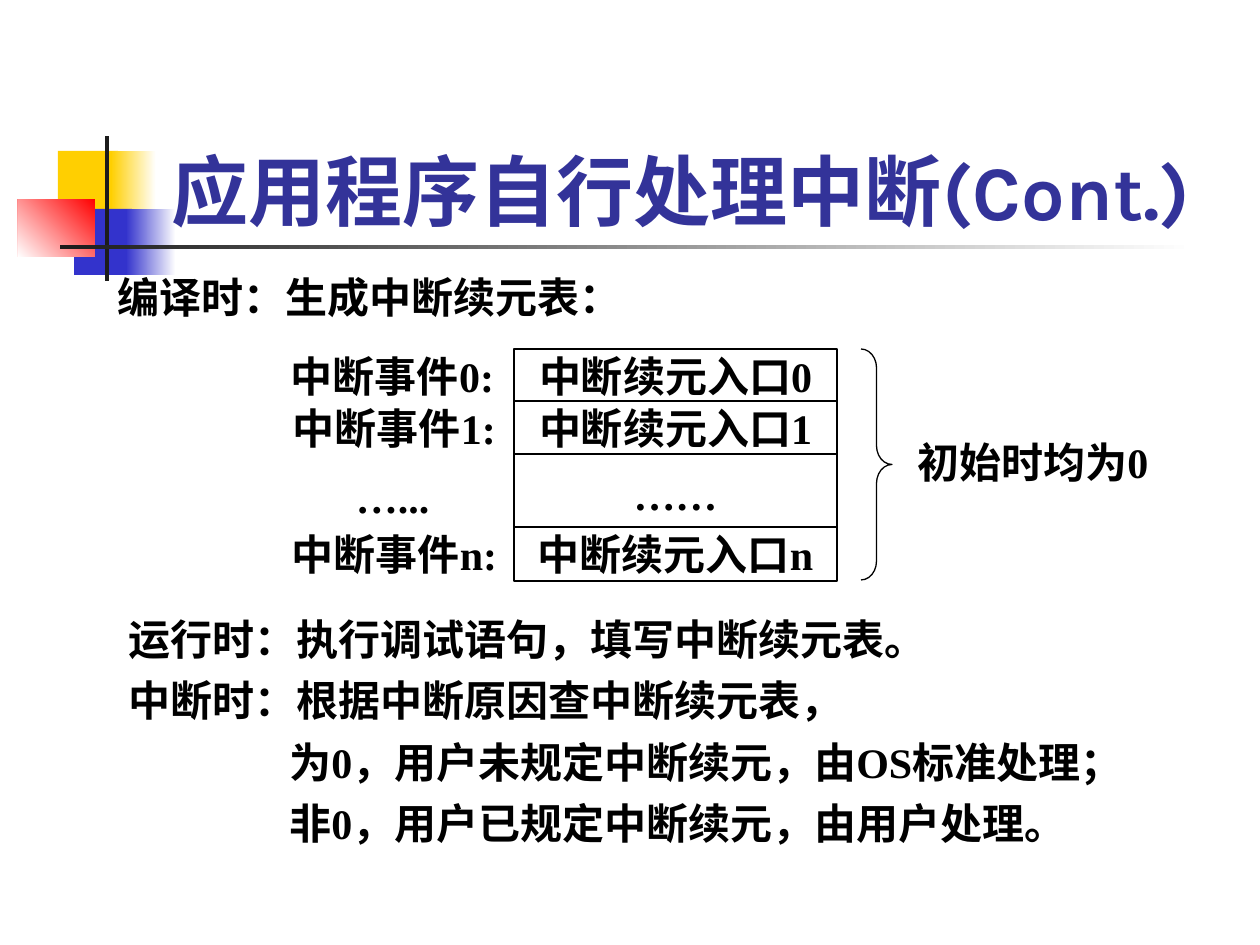
"""Build the slide on interrupt handling by application programs."""
from pptx import Presentation
from pptx.dml.color import RGBColor as Rgb
from pptx.enum.shapes import MSO_SHAPE as Kind
from pptx.enum.text import MSO_ANCHOR as Anchor, PP_ALIGN as Align
from pptx.util import Pt

PX = 914400 / 126
HEX = {"white": "FFFFFF", "black": "000000", "dark": "1C1C1C", "gold": "FFCF01",
       "blue": "3333CC", "red": "FF0000", "title": "333399"}
TITLE = "应用程序自行处理中断(Cont.)"
INTRO = "编译时：生成中断续元表："
NOTE = "初始时均为0"
DECOR = [
    ((58, 151, 60, 66), ["gold"], 0),
    ((111, 151, 45, 66), ["white", "gold"], 180),
    ((74, 209, 58, 66), ["blue"], 0),
    ((126, 209, 50, 66), ["white", "blue"], 180),
    ((18, 199, 77, 58), ["red", "white"], 225),
    ((105, 136, 4, 145), ["dark"], 0),
    ((60, 245, 1134, 4), ["white", "dark"], 180),
]
ROWS = [
    ("中断续元入口0", 349, 54),
    ("中断续元入口1", 401, 54),
    ("……", 454, 79),
    ("中断续元入口n", 527, 54),
]
LABELS = [
    ("中断事件0:", 281, 349, 54),
    ("中断事件1:", 283, 401, 54),
    ("中断事件n:", 283, 527, 54),
    ("…...", 281, 467, 59),
]
STEPS = [
    ("运行时：执行调试语句，填写中断续元表。", 0),
    ("中断时：根据中断原因查中断续元表，", 0),
    ("为0，用户未规定中断续元，由OS标准处理；", 161),
    ("非0，用户已规定中断续元，由用户处理。", 161),
]


def emu(n):
    return round(n * PX)


def color(name):
    return Rgb.from_string(HEX[name])


def style(para, size=24, face="Times New Roman", tint="black"):
    font = para.font
    font.size, font.name, font.bold = Pt(size), face, True
    font.color.rgb = color(tint)


def shape(box, fills=("white",), angle=0, line=False, kind=Kind.RECTANGLE):
    item = slide.shapes.add_shape(kind, *map(emu, box))
    item.shadow.inherit = False
    if len(fills) == 1:
        item.fill.solid()
        item.fill.fore_color.rgb = color(fills[0])
    else:
        item.fill.gradient()
        item.fill.gradient_angle = angle
        for stop, name in zip(item.fill.gradient_stops, fills):
            stop.color.rgb = color(name)
    if line:
        item.line.color.rgb = color("black")
        item.line.width = Pt(0.75)
    else:
        item.line.fill.background()
    return item


def cell(text, box, line=False):
    frame = shape(box, line=line).text_frame
    frame.word_wrap = False
    frame.vertical_anchor = Anchor.MIDDLE
    para = frame.paragraphs[0]
    para.text, para.alignment = text, Align.CENTER
    style(para)


def write(text, box, anchor=Anchor.TOP, **look):
    frame = slide.shapes.add_textbox(*map(emu, box)).text_frame
    frame.word_wrap = True
    frame.vertical_anchor = anchor
    para = frame.paragraphs[0]
    para.text = text
    style(para, **look)


deck = Presentation()
deck.slide_width, deck.slide_height = emu(1260), emu(945)
slide = deck.slides.add_slide(deck.slide_layouts[6])

for box, fills, angle in DECOR:
    shape(box, fills, angle)
write(TITLE, (159, 84, 1074, 158), Anchor.BOTTOM, size=44, face="Karla", tint="title")
write(INTRO, (105, 265, 1061, 63))

for text, top, high in ROWS:
    cell(text, (514, top, 323, high), line=True)
for text, left, top, high in LABELS:
    cell(text, (left, top, 223, high))

frame = shape((116, 621, 1060, 233)).text_frame
frame.word_wrap = True
frame.vertical_anchor = Anchor.TOP
for i, (text, indent) in enumerate(STEPS):
    para = frame.add_paragraph() if i else frame.paragraphs[0]
    para.text, para.alignment = text, Align.LEFT
    para.line_spacing = 0.7
    para.space_before = Pt(15 if i else 0)
    para._p.get_or_add_pPr().set("marL", str(emu(indent)))
    style(para)

brace = shape((861, 349, 31, 231), line=True, kind=Kind.RIGHT_BRACE)
brace.adjustments[0] = 0.61
brace.adjustments[1] = 0.5
cell(NOTE, (914, 412, 238, 100))

deck.save("out.pptx")
